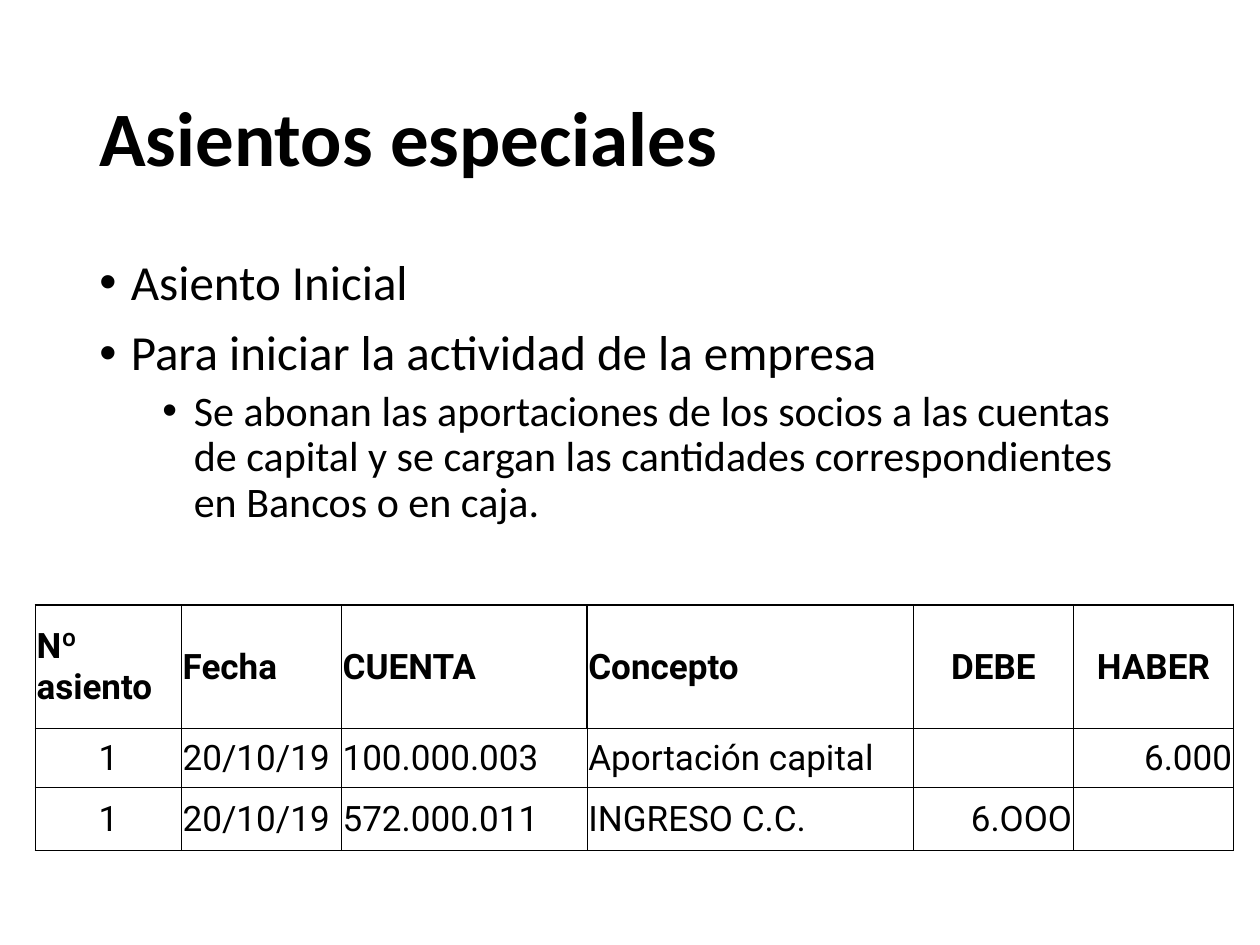
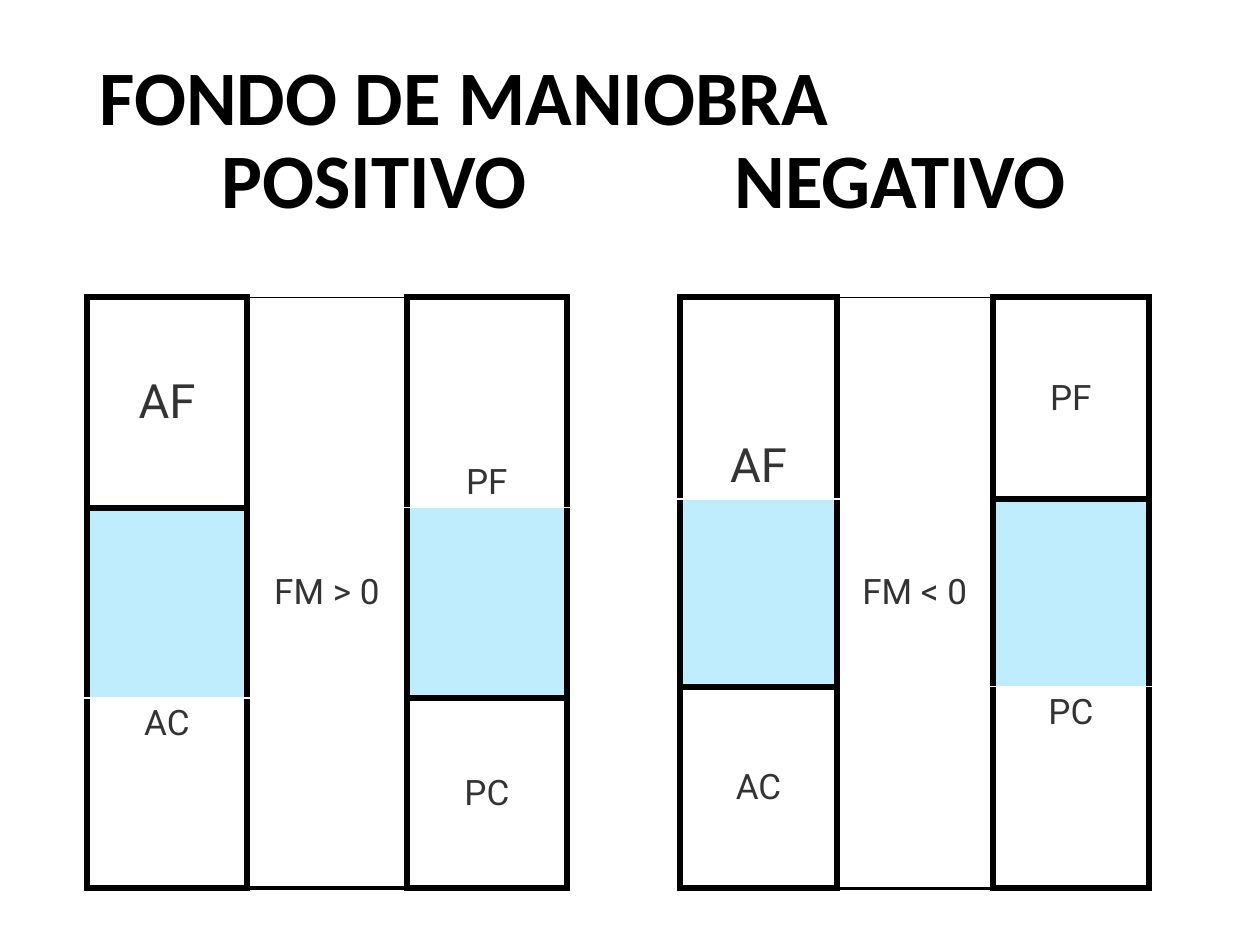
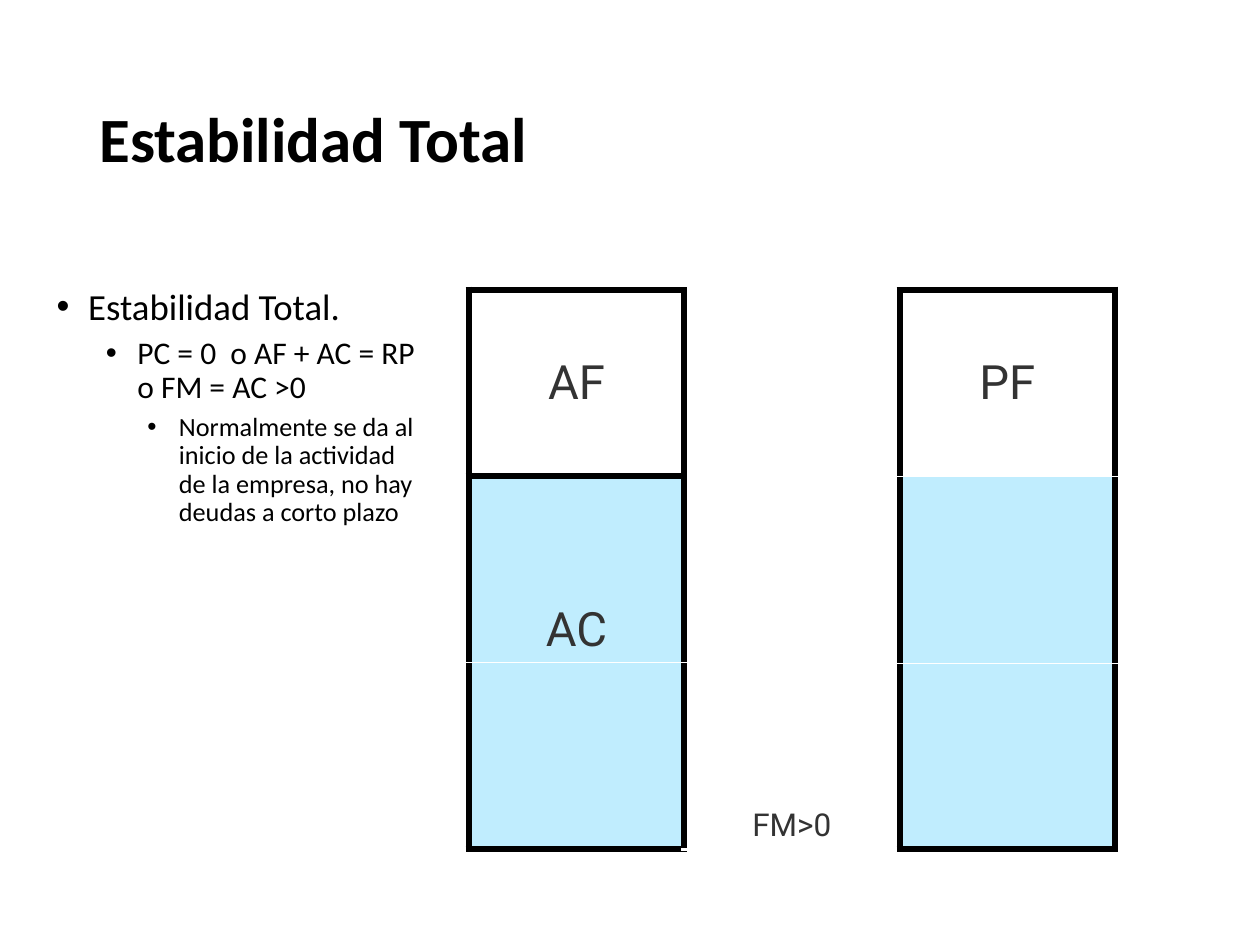
from pptx import Presentation
from pptx.dml.color import RGBColor
from pptx.enum.text import MSO_ANCHOR, PP_ALIGN
from pptx.oxml.xmlchemy import OxmlElement
from pptx.util import Emu, Inches, Pt

WIDE, HIGH = Inches(10), Inches(7.5)
UNIT = WIDE / 100
HEX = {"ink": "000000", "grey": "333333", "sky": "C0EDFE", "white": "FFFFFF"}
EDGE = {"K": ("ink", 4), "k": ("ink", 1), "h": ("ink", 0.5), "m": ("ink", 2.25),
        "w": ("white", 1), "v": ("white", 0.25), "x": ("white", 2.25)}
ANCHOR = {"t": MSO_ANCHOR.TOP, "m": MSO_ANCHOR.MIDDLE, "b": MSO_ANCHOR.BOTTOM}
ALIGN = {"l": PP_ALIGN.LEFT, "c": PP_ALIGN.CENTER, "r": PP_ALIGN.RIGHT}
HEAD = (6.9, 4, 86.2, 14.5)


def grid(*vals):
    """Turn counts of grid columns or rows into lengths."""
    return [Emu(round(val * UNIT)) for val in vals]


def put(item, form):
    """Set each format value on an item."""
    for key, val in form.items():
        setattr(item, key, val)


def pads(*vals):
    """Name four insets: left, top, right, bottom."""
    sides = ("left", "top", "right", "bottom")
    return {f"margin_{side}": val for side, val in zip(sides, grid(*vals))}


def node(home, tag, **attrs):
    """Append an XML element with attributes."""
    item = OxmlElement(tag)
    for key, val in attrs.items():
        item.set(key, str(val))
    home.append(item)
    return item


def style(par, text, size, face, tone, bold=False):
    """Write one paragraph in a given type style."""
    par.text = text
    for run in par.runs:
        put(run.font, {"size": Pt(size), "name": face, "bold": bold})
        run.font.color.rgb = RGBColor.from_string(HEX[tone])


def frame(slide, place, form):
    """Add a wrapping text box and return its frame."""
    text = slide.shapes.add_textbox(*grid(*place)).text_frame
    put(text, {"word_wrap": True, **form})
    return text


def title(slide, text, size=44, tabs=()):
    """Add the bold slide title, with tab stops if given."""
    par = frame(slide, HEAD, {"vertical_anchor": ANCHOR["m"]}).paragraphs[0]
    style(par, text, size, "Calibri", "ink", True)
    par.line_spacing = 0.9
    if tabs:
        stops = node(par._p.get_or_add_pPr(), "a:tabLst")
        for pos in grid(*tabs):
            node(stops, "a:tab", pos=pos, algn="l")


def points(slide, place, rows, form):
    """Add a bulleted list of (level, indent, size, text) rows."""
    text = frame(slide, place, form)
    for num, (level, left, size, words) in enumerate(rows):
        par = text.add_paragraph() if num else text.paragraphs[0]
        style(par, words, size, "Calibri", "ink")
        put(par, {"level": level, "line_spacing": 0.9,
                  "space_before": Pt(5 if level else 10)})
        props = par._p.get_or_add_pPr()
        pad, hang = grid(left, -2.5)
        props.set("marL", str(pad))
        props.set("indent", str(hang))
        node(props, "a:buFont", typeface="Arial")
        node(props, "a:buChar", char="•")


def edges(cell, codes):
    """Draw the left, top, right and bottom borders of a cell."""
    props = cell._tc.get_or_add_tcPr()
    for spot, (side, code) in enumerate(zip("LRTB", (codes[i] for i in (0, 2, 1, 3)))):
        tone, width = EDGE[code]
        line = OxmlElement("a:ln" + side)
        line.set("w", str(Pt(width)))
        node(node(line, "a:solidFill"), "a:srgbClr", val=HEX[tone])
        props.insert(spot, line)


def paint(cell, tone):
    """Fill a cell, or leave it clear."""
    if tone:
        cell.fill.solid()
        cell.fill.fore_color.rgb = RGBColor.from_string(HEX[tone])
    else:
        cell.fill.background()


def table(slide, left, top, cols, rows):
    """Add a plain table with the given column widths and row heights."""
    place = grid(left, top, sum(cols), sum(rows))
    tab = slide.shapes.add_table(len(rows), len(cols), *place).table
    put(tab, {"first_row": False, "horz_banding": False})
    for parts, key, vals in ((tab.columns, "width", cols), (tab.rows, "height", rows)):
        for part, val in zip(parts, grid(*vals)):
            put(part, {key: val})
    return tab


def ledger(slide, rows):
    """Add the journal table: a bold header and its entries."""
    tab = table(slide, 2.8, 48, (11.6, 12.7, 19.5, 25.9, 12.7, 12.7), (9.8, 4.7, 5))
    last = len(rows[0][0]) - 1
    for y, (words, sides) in enumerate(rows):
        for x, word in enumerate(words):
            cell = tab.cell(y, x)
            put(cell, {"vertical_anchor": ANCHOR["m"], **pads(0.1, 0.1, 0.1, 0)})
            par = cell.text_frame.paragraphs[0]
            style(par, word, 20, "Roboto", "ink", y == 0)
            par.alignment = ALIGN[sides[x]]
            paint(cell, None)
            edges(cell, ("k" if y == 0 or x == 0 else "h") + ("h" if y == 2 else "k")
                  + ("k" if y == 0 or x == last else "h") + ("h" if y == 1 else "k"))


def funds(slide, left, top, wide, rows, mid, sides):
    """Add two stacked columns around one merged middle cell."""
    tab = table(slide, left, top, (wide,) * 3, rows)
    tab.cell(0, 1).merge(tab.cell(2, 1))
    stacks = {0: sides[0], 1: [mid] + [("", 0, "t", mid[3], None)] * 2, 2: sides[1]}
    for x, stack in stacks.items():
        for y, (word, size, spot, codes, tone) in enumerate(stack):
            cell = tab.cell(y, x)
            put(cell, {"vertical_anchor": ANCHOR[spot], **pads(0.4, 0.4, 0.4, 0.4)})
            if word:
                par = cell.text_frame.paragraphs[0]
                style(par, word, size, "Roboto", "grey")
                par.alignment = ALIGN["c"]
            paint(cell, tone)
            edges(cell, codes)


def blue(codes, word=""):
    """Describe a blue cell, with a low label if given."""
    return word, 27, "b", codes, "sky"


def part(word, size, spot, codes):
    """Describe a clear cell with a label."""
    return word, size, spot, codes, None


def opening(slide):
    """Build the slide on the opening entry."""
    title(slide, "Asientos especiales")
    points(slide, (6.9, 20, 86.2, 25.3), [
        (0, 2.5, 28, "Asiento Inicial"),
        (0, 2.5, 28, "Para iniciar la actividad de la empresa"),
        (1, 7.5, 24, "Se abonan las aportaciones de los socios a las cuentas de capital "
                     "y se cargan las cantidades correspondientes en Bancos o en caja."),
    ], {})
    ledger(slide, [
        (("Nº asiento", "Fecha", "CUENTA", "Concepto", "DEBE", "HABER"), "llllcc"),
        (("1", "20/10/19", "100.000.003", "Aportación capital", "", "6.000"), "clllrr"),
        (("1", "20/10/19", "572.000.011", "INGRESO C.C.", "6.OOO", ""), "clllrr"),
    ])


def capital(slide):
    """Build the slide on positive and negative working capital."""
    title(slide, "FONDO DE MANIOBRA\v\tPOSITIVO\tNEGATIVO", tabs=(9.7, 50.4))
    funds(slide, 6.9, 23.6, 12.7, (16.7, 15.1, 15.1), part("FM > 0", 20, "m", "KkKm"), (
        [part("AF", 27, "m", "KKKK"), blue("KKKw"), part("AC", 20, "t", "KwKK")],
        [part("PF", 20, "b", "KKKw"), blue("KwKK"), part("PC", 20, "m", "KKKK")]))
    funds(slide, 54, 23.6, 12.4, (16, 14.9, 16), part("FM < 0", 20, "m", "KkKm"), (
        [part("AF", 27, "b", "KKKw"), blue("KwKK"), part("AC", 20, "m", "KKKK")],
        [part("PF", 20, "m", "KKKK"), blue("KKKw"), part("PC", 20, "t", "KwKK")]))


def total(slide):
    """Build the slide on total stability."""
    title(slide, "Estabilidad Total", 36)
    points(slide, (3.8, 22.5, 30.8, 43.1), [
        (0, 2.5, 21, "Estabilidad Total."),
        (1, 6.4, 18, "PC = 0  o AF + AC = RP o FM = AC >0"),
        (2, 9.7, 15, "Normalmente se da al inicio de la actividad de la empresa, "
                     "no hay deudas a corto plazo"),
    ], pads(0.7, 0.4, 1.1, 0.4))
    funds(slide, 37.2, 23, 17.1, (14.8,) * 3, part("FM>0", 18, "b", "KwKx"), (
        [part("AF", 27, "m", "KKKK"), blue("KKKw", "AC"), blue("KwKK")],
        [part("PF", 27, "m", "KKKw"), blue("KwKv"), blue("KvKK")]))


def main():
    """Build and save the three slides."""
    deck = Presentation()
    put(deck, {"slide_width": WIDE, "slide_height": HIGH})
    for build in (opening, capital, total):
        build(deck.slides.add_slide(deck.slide_layouts[6]))
    deck.save("out.pptx")


main()
